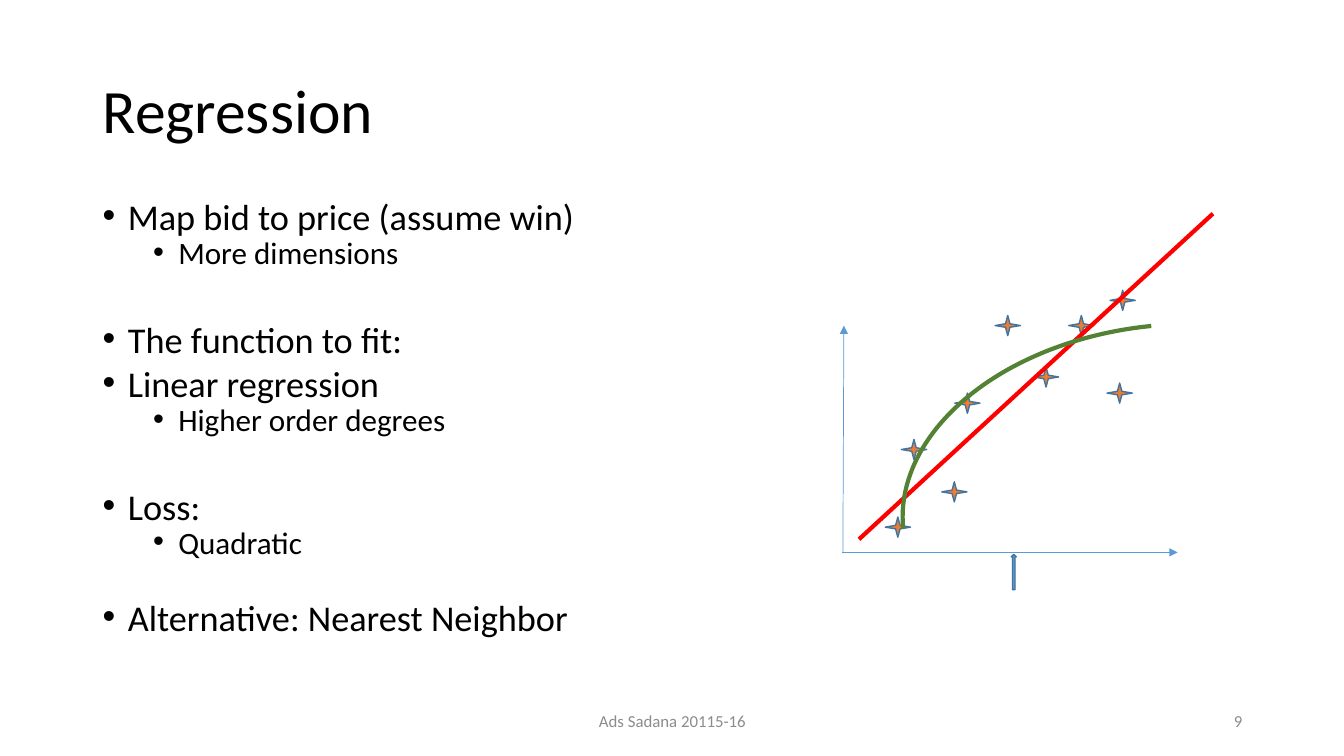
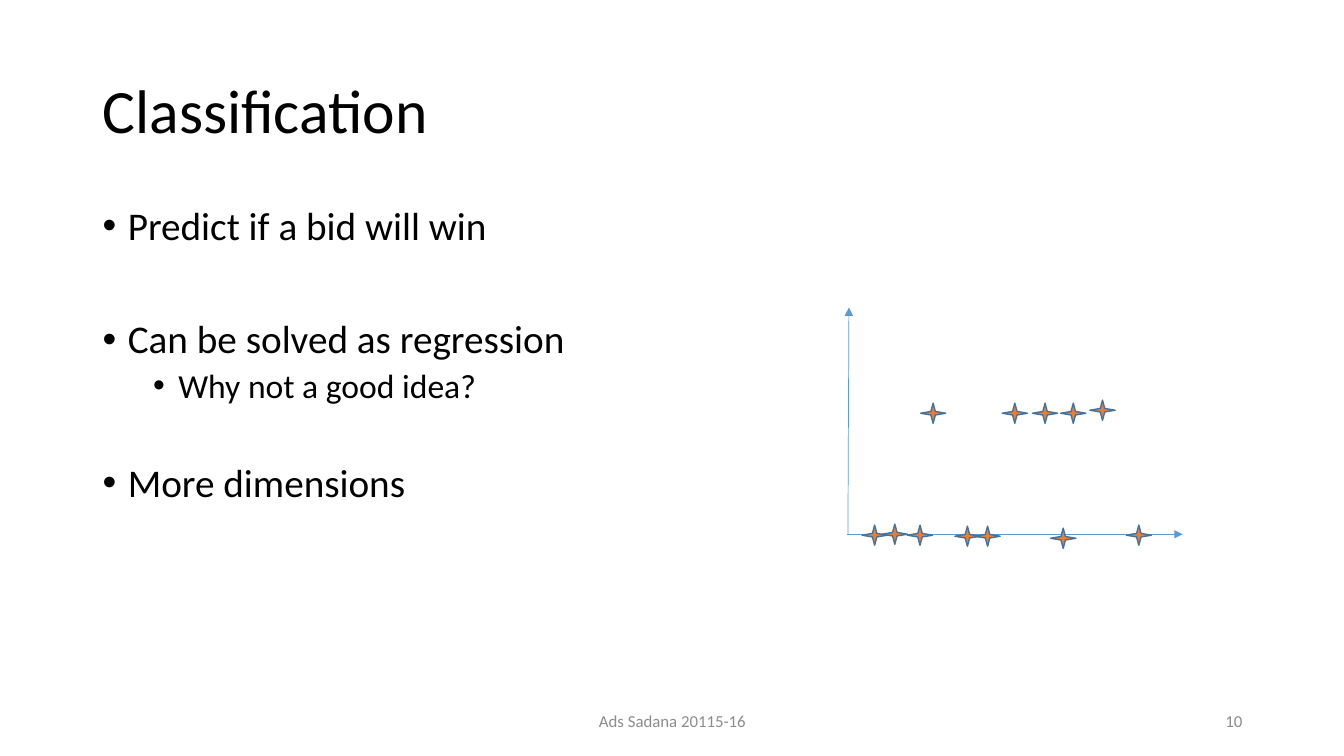
from lxml import etree
from pptx import Presentation
from pptx.dml.color import RGBColor
from pptx.enum.shapes import MSO_CONNECTOR, MSO_SHAPE
from pptx.enum.text import MSO_ANCHOR, PP_ALIGN
from pptx.oxml.ns import qn
from pptx.util import Inches, Pt

STAR, ARROW, ARC = MSO_SHAPE.STAR_4_POINT, MSO_SHAPE.UP_ARROW, MSO_SHAPE.ARC
LINE = MSO_CONNECTOR.STRAIGHT
TOP, MIDDLE = MSO_ANCHOR.TOP, MSO_ANCHOR.MIDDLE
LEFT, CENTER, RIGHT = PP_ALIGN.LEFT, PP_ALIGN.CENTER, PP_ALIGN.RIGHT

FONT = "Calibri"
BLACK, GRAY = "000000", "8C8C8C"
BLUE, EDGE, ORANGE = "5B9BD5", "43739E", "ED7D31"
RED, GREEN = "FF0000", "548235"
FOOTER = "Ads Sadana 20115-16"
LEADING = 1.22  # line height of the font, in ems
BEFORE = (10, 5)  # points above a paragraph, by level


def color(code):
    return RGBColor.from_string(code)


def set_font(par, size, code=BLACK):
    par.font.name = FONT
    par.font.size = Pt(size)
    par.font.color.rgb = color(code)


def add_frame(slide, box, anchor):
    frame = slide.shapes.add_textbox(*map(Inches, box)).text_frame
    frame.word_wrap = True
    frame.vertical_anchor = anchor
    return frame


def add_label(slide, box, text, size, code, align):
    par = add_frame(slide, box, MIDDLE).paragraphs[0]
    par.text = text
    par.alignment = align
    set_font(par, size, code)
    return par


def add_bullet(par, level):
    props = par._p.get_or_add_pPr()
    props.set("marL", str(Inches(0.25 + 0.5 * level)))
    props.set("indent", str(Inches(-0.25)))
    font = etree.SubElement(props, qn("a:buFont"))
    font.set("typeface", "Arial")
    etree.SubElement(props, qn("a:buChar")).set("char", "•")


def add_list(slide, items, sizes, spacing):
    """Items are (level, text, gap); gap is the level of the line left free above."""
    frame = add_frame(slide, (0.92, 2, 11.5, 4.76), TOP)
    for i, (level, text, gap) in enumerate(items):
        par = frame.add_paragraph() if i else frame.paragraphs[0]
        par.text = text
        par.level = level
        par.line_spacing = spacing
        space = BEFORE[level]
        if gap is not None:
            space += BEFORE[gap] + sizes[gap] * LEADING * spacing
        par.space_before = Pt(round(space, 1))
        add_bullet(par, level)
        set_font(par, sizes[level])


def add_line(slide, start, end, code, width, arrow=False):
    line = slide.shapes.add_connector(LINE, *map(Inches, start + end))
    line.line.color.rgb = color(code)
    line.line.width = Pt(width)
    if arrow:
        tail = etree.SubElement(line.line._get_or_add_ln(), qn("a:tailEnd"))
        tail.set("type", "triangle")
    etree.SubElement(line._element.spPr, qn("a:effectLst"))


def add_form(slide, kind, box, fill, edge, width):
    form = slide.shapes.add_shape(kind, *map(Inches, box))
    form.shadow.inherit = False
    if fill:
        form.fill.solid()
        form.fill.fore_color.rgb = color(fill)
    else:
        form.fill.background()
    form.line.color.rgb = color(edge)
    form.line.width = Pt(width)
    return form


def add_plot(slide, x, y, points):
    # Axes from the origin, then one star per data point
    add_line(slide, (x, y), (x + 3.33, y), BLUE, 0.5, True)
    add_line(slide, (x + 0.01, y), (x + 0.02, y - 2.25), BLUE, 0.5, True)
    for left, top in points:
        add_form(slide, STAR, (left, top, 0.25, 0.2), ORANGE, EDGE, 1)


def add_page(deck, title, number):
    slide = deck.slides.add_slide(deck.slide_layouts[6])
    head = add_label(slide, (0.92, 0.4, 11.5, 1.45), title, 44, BLACK, LEFT)
    head.line_spacing = 0.9
    add_label(slide, (4.42, 6.95, 4.5, 0.4), FOOTER, 12, GRAY, CENTER)
    add_label(slide, (9.42, 6.95, 3, 0.4), str(number), 12, GRAY, RIGHT)
    return slide


def add_regression(deck):
    slide = add_page(deck, "Regression", 9)
    items = [
        (0, "Map bid to price (assume win)", None),
        (1, "More dimensions", None),
        (0, "The function to fit:", 0),
        (0, "Linear regression", None),
        (1, "Higher order degrees", None),
        (0, "Loss:", 0),
        (1, "Quadratic", None),
        (0, "Alternative: Nearest Neighbor", 1),
    ]
    add_list(slide, items, (25.9, 22.2), 0.7)
    points = [
        (8.78, 5.13), (8.94, 4.36), (9.47, 3.9), (9.34, 4.78), (10.25, 3.64),
        (9.87, 3.13), (10.98, 3.8), (11.01, 2.88), (10.6, 3.13),
    ]
    add_plot(slide, 8.35, 5.48, points)
    # Linear fit, queried bid and curved fit
    add_line(slide, (12.03, 2.12), (8.52, 5.35), RED, 3)
    add_form(slide, ARROW, (10.03, 5.5, 0.05, 0.35), BLUE, EDGE, 1)
    curve = add_form(slide, ARC, (9.83, 2.34, 3.52, 5.29), None, GREEN, 3)
    curve.rotation = 264.4


def add_classes(deck):
    slide = add_page(deck, "Classification", 10)
    items = [
        (0, "Predict if a bid will win", None),
        (0, "Can be solved as regression", 0),
        (1, "Why not a good idea?", None),
        (0, "More dimensions", 1),
    ]
    add_list(slide, items, (28, 24), 0.9)
    lost = [
        (8.55, 5.21), (8.75, 5.2), (9, 5.21), (9.47, 5.22), (9.67, 5.22),
        (10.42, 5.24), (11.17, 5.21),
    ]
    won = [(9.13, 4), (9.94, 4), (10.24, 4), (10.52, 4), (10.81, 3.97)]
    add_plot(slide, 8.4, 5.3, lost + won)


def main():
    deck = Presentation()
    deck.slide_width, deck.slide_height = Inches(13.33), Inches(7.5)
    add_regression(deck)
    add_classes(deck)
    deck.save("out.pptx")


main()
